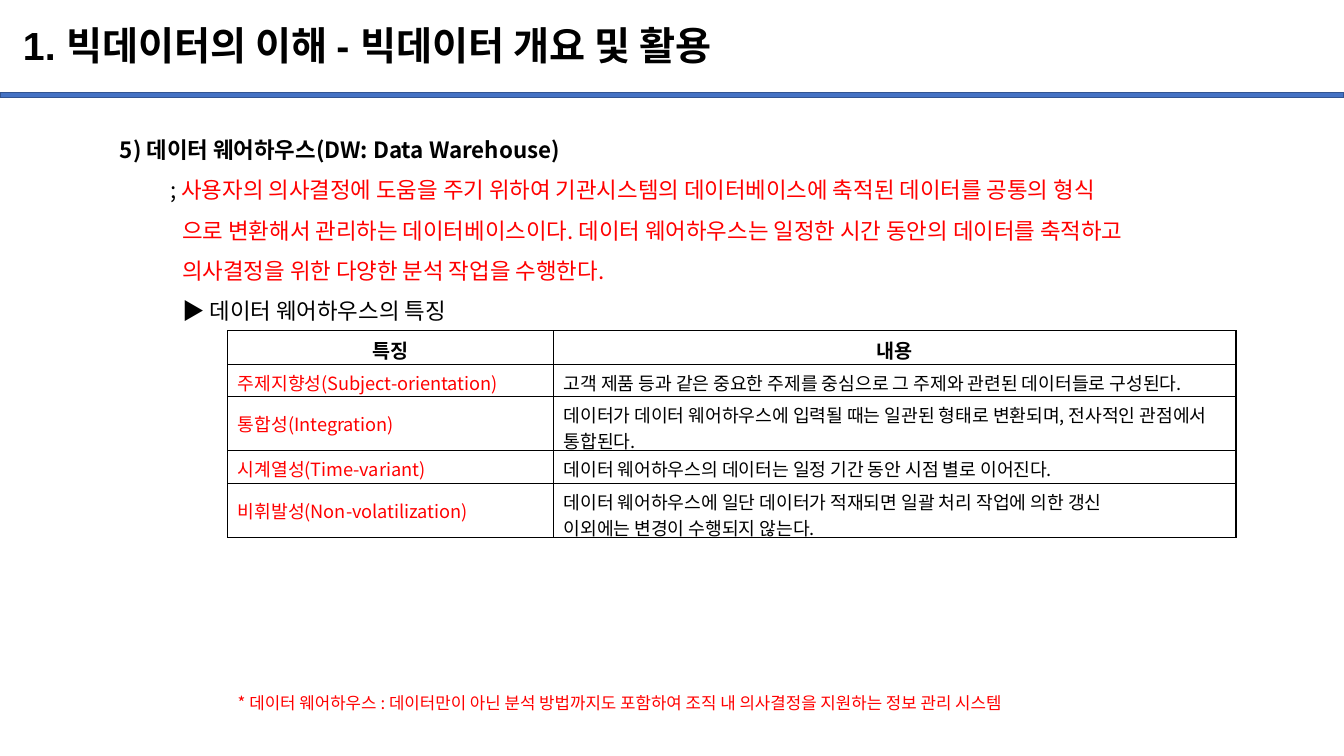
import pptx
import pptx.util
import pptx.dml.color
import pptx.enum.shapes
import pptx.enum.text
import pptx.oxml
import pptx.oxml.ns
from dataclasses import dataclass
from typing import Any

Inches = pptx.util.Inches
Align = pptx.enum.text.PP_ALIGN
Anchor = pptx.enum.text.MSO_ANCHOR
KOREAN = "Noto Sans CJK KR"
COLORS = {"black": "000000", "red": "FF0000", "blue": "4472C4", "edge": "325491"}


@dataclass
class Run:
    text: str
    size: float
    color: str = "black"
    bold: bool = False
    font: str = KOREAN


@dataclass
class Para:
    runs: list[Run]
    left: float = 0
    space: float = 1.0
    align: Any = Align.LEFT


@dataclass
class Box:
    at: tuple[float, float, float, float]
    paras: list[Para]
    anchor: Any = Anchor.TOP


BOXES = [
    Box((0.13, 0.1, 11.5, 0.74),
        [Para([Run("1. 빅데이터의 이해 - 빅데이터 개요 및 활용", 28, bold=True, font="Arial")], space=0.9)],
        Anchor.MIDDLE),
    Box((1.09, 1.17, 11.72, 2.52), [
        Para([Run("5) 데이터 웨어하우스(DW: Data Warehouse)", 16, bold=True)], space=1.5),
        Para([Run("; ", 16),
              Run("사용자의 의사결정에 도움을 주기 위하여 기관시스템의 데이터베이스에 축적된 데이터를 공통의 형식",
                  16, "red")], 0.5, 1.5),
        Para([Run("으로 변환해서 관리하는 데이터베이스이다. 데이터 웨어하우스는 일정한 시간 동안의 데이터를 축적하고",
                  16, "red")], 0.62, 1.5),
        Para([Run("의사결정을 위한 다양한 분석 작업을 수행한다.", 16, "red")], 0.62, 1.5),
        Para([Run("▶ 데이터 웨어하우스의 특징", 16)], 0.62, 1.5),
    ]),
    Box((2.26, 6.82, 10.96, 0.3),
        [Para([Run("* 데이터 웨어하우스 : 데이터만이 아닌 분석 방법까지도 포함하여 조직 내 의사결정을 지원하는 정보 관리 시스템",
                   12, "red")])]),
]

HEADS = ["특징", "내용"]
TRAITS = [
    ("주제지향성(Subject-orientation)",
     ["고객 제품 등과 같은 중요한 주제를 중심으로 그 주제와 관련된 데이터들로 구성된다."]),
    ("통합성(Integration)",
     ["데이터가 데이터 웨어하우스에 입력될 때는 일관된 형태로 변환되며, 전사적인 관점에서 통합된다."]),
    ("시계열성(Time-variant)",
     ["데이터 웨어하우스의 데이터는 일정 기간 동안 시점 별로 이어진다."]),
    ("비휘발성(Non-volatilization)",
     ["데이터 웨어하우스에 일단 데이터가 적재되면 일괄 처리 작업에 의한 갱신",
      "이외에는 변경이 수행되지 않는다."]),
]
WIDTHS = [3.23, 6.77]
HEIGHTS = [0.33, 0.32, 0.54, 0.32, 0.54]


def tint(name: str) -> Any:
    return pptx.dml.color.RGBColor.from_string(COLORS[name])


def write(frame: Any, paras: list[Para]) -> None:
    for index, para in enumerate(paras):
        line = frame.paragraphs[0] if index == 0 else frame.add_paragraph()
        line.alignment = para.align
        line.line_spacing = para.space
        if para.left:
            props = line._p.get_or_add_pPr()
            props.set("marL", str(Inches(para.left)))
            props.set("indent", "0")
        for item in para.runs:
            run = line.add_run()
            run.text = item.text
            run.font.size = pptx.util.Pt(item.size)
            run.font.bold = item.bold
            run.font.color.rgb = tint(item.color)
            run.font.name = item.font
            east = pptx.oxml.parse_xml(
                f'<a:ea {pptx.oxml.ns.nsdecls("a")} typeface="{KOREAN}"/>')
            run._r.get_or_add_rPr().find(pptx.oxml.ns.qn("a:latin")).addnext(east)


def add_box(slide: Any, box: Box) -> None:
    frame = slide.shapes.add_textbox(*map(Inches, box.at)).text_frame
    frame.word_wrap = True
    frame.vertical_anchor = box.anchor
    write(frame, box.paras)


def add_bar(slide: Any) -> None:
    bar = slide.shapes.add_shape(
        pptx.enum.shapes.MSO_SHAPE.RECTANGLE, *map(Inches, (0, 0.92, 13.33, 0.05)))
    bar.shadow.inherit = False
    bar.fill.solid()
    bar.fill.fore_color.rgb = tint("blue")
    bar.line.color.rgb = tint("edge")
    bar.line.width = pptx.util.Pt(1)


def fill_cell(cell: Any, paras: list[Para]) -> None:
    cell.vertical_anchor = Anchor.MIDDLE
    write(cell.text_frame, paras)
    props = cell._tc.get_or_add_tcPr()
    for side in ("lnL", "lnR", "lnT", "lnB"):
        props.append(pptx.oxml.parse_xml(
            f'<a:{side} {pptx.oxml.ns.nsdecls("a")} w="{pptx.util.Pt(1)}"><a:solidFill>'
            f'<a:srgbClr val="{COLORS["black"]}"/></a:solidFill></a:{side}>'))
    cell.fill.background()


def add_traits(slide: Any) -> None:
    area = map(Inches, (2.26, 3.28, sum(WIDTHS), sum(HEIGHTS)))
    table = slide.shapes.add_table(len(HEIGHTS), len(WIDTHS), *area).table
    table.first_row = table.horz_banding = False
    for col, width in zip(table.columns, WIDTHS):
        col.width = Inches(width)
    for row, height in zip(table.rows, HEIGHTS):
        row.height = Inches(height)
    for col, head in enumerate(HEADS):
        fill_cell(table.cell(0, col), [Para([Run(head, 14, bold=True)], align=Align.CENTER)])
    for row, (trait, lines) in enumerate(TRAITS, 1):
        fill_cell(table.cell(row, 0), [Para([Run(trait, 13, "red")])])
        fill_cell(table.cell(row, 1), [Para([Run(line, 13)]) for line in lines])


def main() -> None:
    deck = pptx.Presentation()
    deck.slide_width, deck.slide_height = Inches(13.33), Inches(7.5)
    slide = deck.slides.add_slide(deck.slide_layouts[6])
    add_bar(slide)
    for box in BOXES:
        add_box(slide, box)
    add_traits(slide)
    deck.save("out.pptx")


if __name__ == "__main__":
    main()
